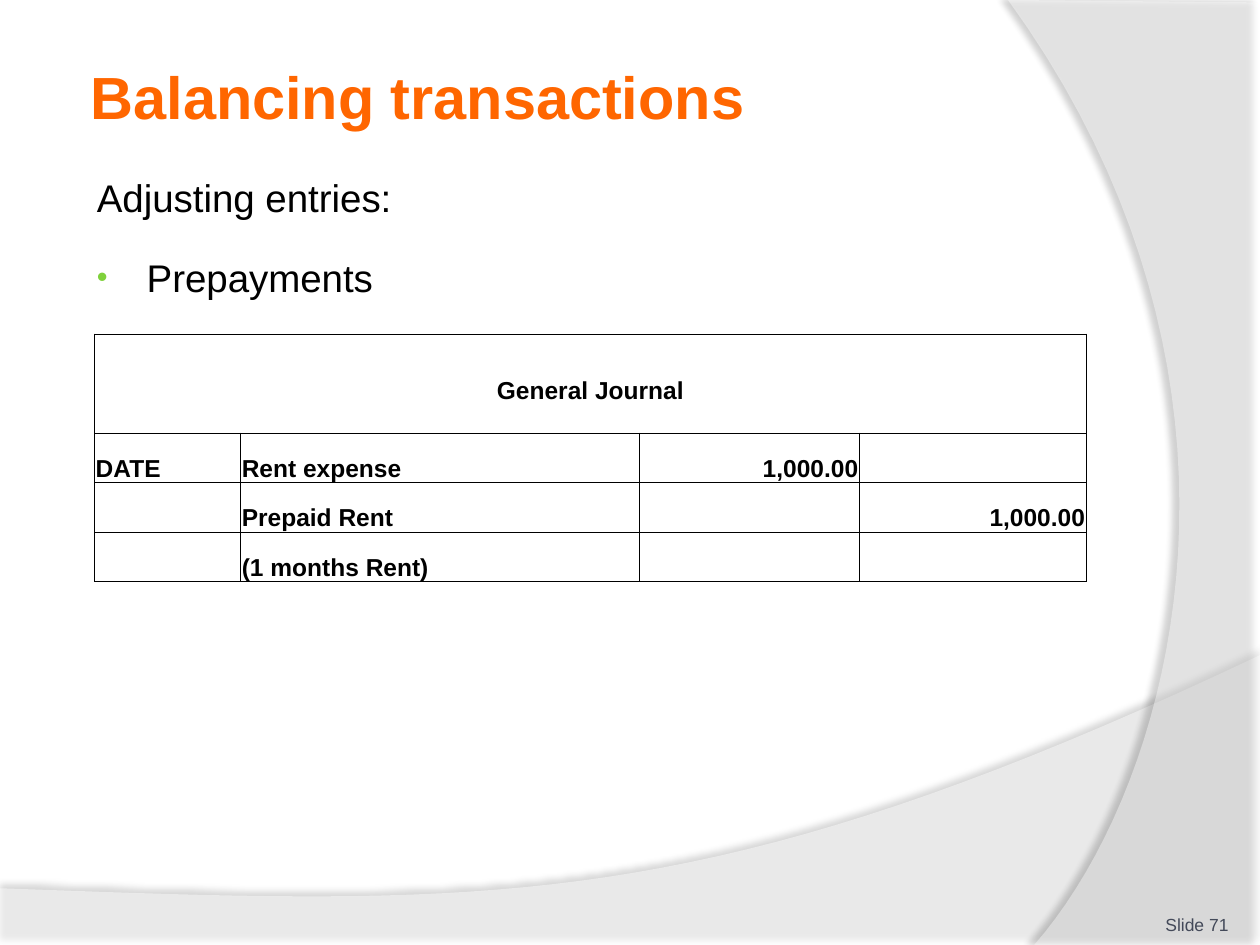
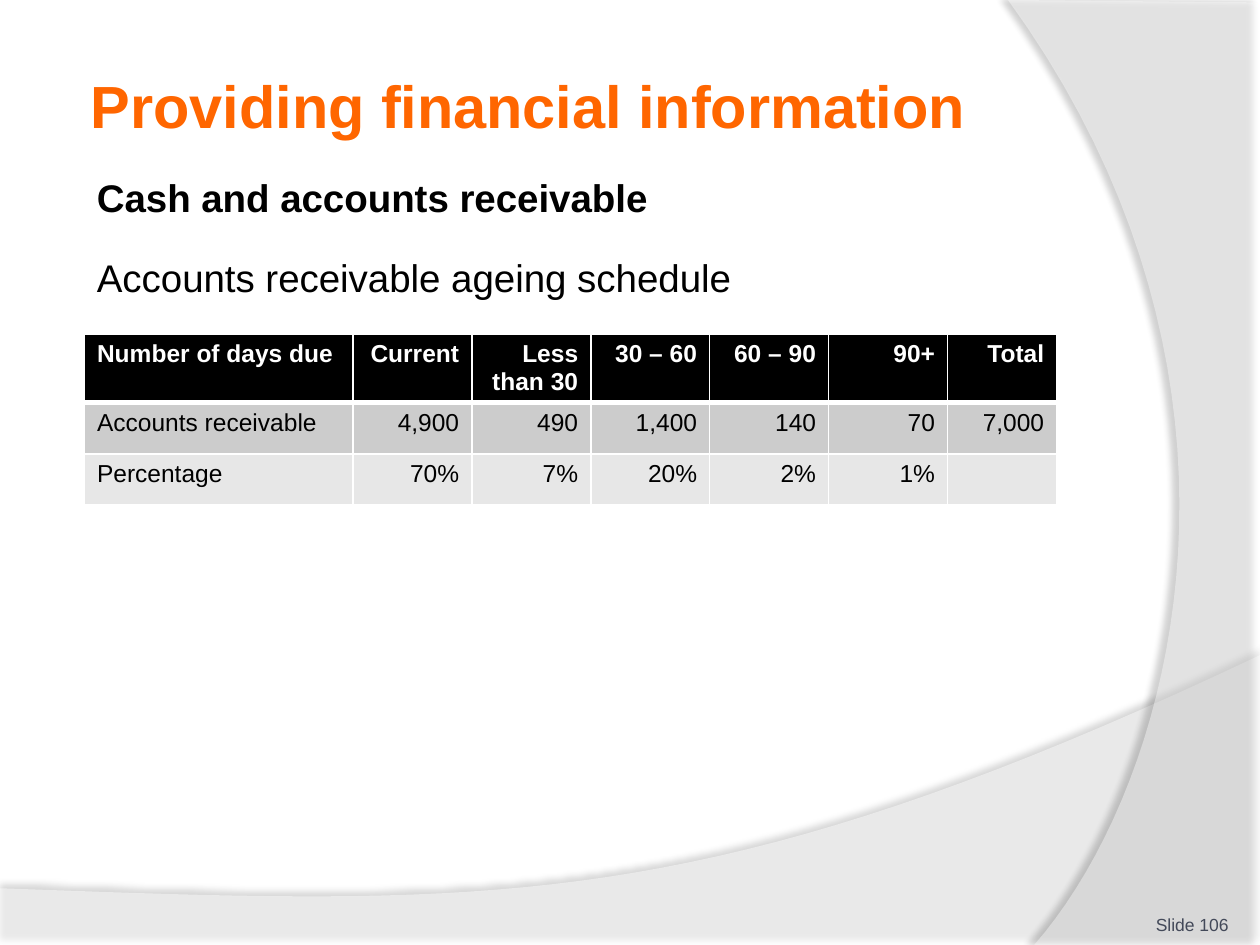
"""Build two accounting slides, each with a title, a short text and a table."""
from dataclasses import dataclass
from typing import Any

from lxml import etree
from pptx import Presentation
from pptx import util as u
from pptx.dml.color import RGBColor
from pptx.enum import text as t
from pptx.oxml.ns import qn

Point = tuple[float, float]

FONT = "Arial"
ORANGE, GREEN, SLATE = "FF6600", "7FD13B", "434959"
BLACK, WHITE, GREY, PALE = "000000", "FFFFFF", "CCCCCC", "E7E7E7"
LEFT, CENTER, RIGHT = t.PP_ALIGN.LEFT, t.PP_ALIGN.CENTER, t.PP_ALIGN.RIGHT
TOP, MIDDLE, BOTTOM = t.MSO_ANCHOR.TOP, t.MSO_ANCHOR.MIDDLE, t.MSO_ANCHOR.BOTTOM
MARGIN, TEXT_WIDTH = 48.25, 588
CURVE_STEPS = 40


@dataclass(frozen=True)
class Swoosh:
    corners: tuple[Point, ...]
    controls: tuple[Point, Point]
    end: Point
    opacity: int
    shadow_opacity: int
    shadow_distance: float
    shadow_angle: int


@dataclass(frozen=True)
class Line:
    words: str
    bold: bool = False
    bullet: bool = False


@dataclass(frozen=True)
class Grid:
    left: float
    widths: tuple[float, ...]
    heights: tuple[float, ...]
    rows: tuple[tuple[str, ...], ...]
    fills: tuple[str | None, ...]
    bold_rows: int
    right_from: int
    border: str
    border_width: float
    insets: tuple[float, float]
    anchor: Any
    merged_heading: bool = False
    heading_color: str = BLACK
    heading_rule: float = 0


@dataclass(frozen=True)
class Content:
    title: str
    title_height: float
    lines: tuple[Line, ...]
    grid: Grid
    number: int


SWOOSHES = (
    Swoosh(((0, 507.6), (0, 540), (720, 540), (720, 374.4)),
           ((402.5, 524.9), (281.5, 517.7)), (0, 507.6), 45, 35, 3.5, 270),
    Swoosh(((720, 1.4), (720, 540), (591, 540)),
           ((673.2, 445.7), (733, 216)), (576, 0), 40, 45, 4, 180),
)

JOURNAL = Grid(
    left=54, widths=(83.5, 228, 125.7, 129.6), heights=(56.6, 28.35, 28.35, 28.35),
    rows=(("General Journal", "", "", ""),
          ("DATE", "Rent expense", "1,000.00", ""),
          ("", "Prepaid Rent", "", "1,000.00"),
          ("", "(1 months Rent)", "", "")),
    fills=(None,) * 4, bold_rows=4, right_from=2, border=BLACK, border_width=0.5,
    insets=(0.7, 0), anchor=BOTTOM, merged_heading=True)

AGEING = Grid(
    left=MARGIN, widths=(153.4, *(68,) * 5, 62.4), heights=(39.4, 29.2, 29.2),
    rows=(("Number of days due", "Current", "Less than 30", "30 – 60", "60 – 90", "90+", "Total"),
          ("Accounts receivable", "4,900", "490", "1,400", "140", "70", "7,000"),
          ("Percentage", "70%", "7%", "20%", "2%", "1%", "")),
    fills=(BLACK, GREY, PALE), bold_rows=1, right_from=1, border=WHITE, border_width=1,
    insets=(7.2, 3.6), anchor=TOP, heading_color=WHITE, heading_rule=3)

CONTENTS = (
    Content("Balancing transactions", 57,
            (Line("Adjusting entries:"), Line("Prepayments", bullet=True)), JOURNAL, 71),
    Content("Providing financial information", 67.7,
            (Line("Cash and accounts receivable", bold=True),
             Line("Accounts receivable ageing schedule")), AGEING, 106),
)


def color(value: str) -> RGBColor:
    """Turn a hex string into a colour."""
    return RGBColor.from_string(value)


def assign(target: Any, values: dict[str, Any]) -> None:
    """Set several attributes of one object."""
    for name, value in values.items():
        setattr(target, name, value)


def add_xml(parent: Any, tag: str, **attributes: Any) -> Any:
    """Append a drawing element with its attributes."""
    return etree.SubElement(parent, qn(tag), {k: str(v) for k, v in attributes.items()})


def write(para: Any, words: str, size: float, hue: str, bold: bool = False,
          align: Any = LEFT) -> None:
    """Put one formatted span into a paragraph."""
    para.alignment = align
    span = para.add_run()
    span.text = words
    assign(span.font, {"name": FONT, "size": u.Pt(size), "bold": bold})
    span.font.color.rgb = color(hue)


def set_frame(frame: Any, anchor: Any, across: float, down: float) -> None:
    """Set the wrapping, anchor and insets of a text frame."""
    assign(frame, {"word_wrap": True, "auto_size": t.MSO_AUTO_SIZE.NONE,
                   "vertical_anchor": anchor,
                   "margin_left": u.Pt(across), "margin_right": u.Pt(across),
                   "margin_top": u.Pt(down), "margin_bottom": u.Pt(down)})


def add_box(page: Any, left: float, top: float, width: float, height: float) -> Any:
    """Add a text box measured in points."""
    return page.shapes.add_textbox(*map(u.Pt, (left, top, width, height)))


def curve(start: Point, controls: tuple[Point, Point], end: Point) -> list[Point]:
    """Sample a cubic curve after its start point."""
    points = []
    for step in range(1, CURVE_STEPS + 1):
        s = step / CURVE_STEPS
        weights = ((1 - s) ** 3, 3 * s * (1 - s) ** 2, 3 * s * s * (1 - s), s ** 3)
        x, y = (sum(w * p[axis] for w, p in zip(weights, (start, *controls, end)))
                for axis in (0, 1))
        points.append((x, y))
    return points


def draw_swoosh(page: Any, swoosh: Swoosh, depth: int) -> None:
    """Draw a translucent curved band with a soft shadow behind the text."""
    first, *others = swoosh.corners
    outline = others + curve(others[-1], swoosh.controls, swoosh.end)
    builder = page.shapes.build_freeform(u.Pt(first[0]), u.Pt(first[1]))
    builder.add_line_segments([(u.Pt(x), u.Pt(y)) for x, y in outline], close=True)
    shape = builder.convert_to_shape()
    shape.shadow.inherit = False
    shape.line.fill.background()
    shape.fill.solid()
    shape.fill.fore_color.rgb = color(WHITE)
    tint = shape.element.find(f".//{qn('a:solidFill')}/{qn('a:srgbClr')}")
    add_xml(tint, "a:alpha", val=swoosh.opacity * 1000)
    shadow = add_xml(shape.element.find(f".//{qn('a:effectLst')}"), "a:outerShdw",
                     blurRad=u.Pt(4), dist=u.Pt(swoosh.shadow_distance),
                     dir=swoosh.shadow_angle * 60000, algn="ctr", rotWithShape=0)
    shade = add_xml(shadow, "a:srgbClr", val=BLACK)
    add_xml(shade, "a:alpha", val=swoosh.shadow_opacity * 1000)
    shape.element.getparent().insert(2 + depth, shape.element)


def draw_title(page: Any, words: str, height: float) -> None:
    """Place and format the title placeholder."""
    title = page.shapes.title
    assign(title, {"left": u.Pt(MARGIN), "top": u.Pt(26),
                   "width": u.Pt(TEXT_WIDTH), "height": u.Pt(height)})
    set_frame(title.text_frame, MIDDLE, 3.6, 3.6)
    write(title.text_frame.paragraphs[0], words, 34, ORANGE, True)


def draw_lines(page: Any, lines: tuple[Line, ...]) -> None:
    """Write the introductory lines above the table."""
    frame = add_box(page, MARGIN, 96, TEXT_WIDTH, 90).text_frame
    set_frame(frame, TOP, 7.2, 3.6)
    for index, line in enumerate(lines):
        para = frame.add_paragraph() if index else frame.paragraphs[0]
        if line.bullet:
            props = para._p.get_or_add_pPr()
            assign_indent = {"marL": u.Pt(28.5), "indent": -u.Pt(28.5)}
            for name, value in assign_indent.items():
                props.set(name, str(value))
            add_xml(add_xml(props, "a:buClr"), "a:srgbClr", val=GREEN)
            add_xml(props, "a:buSzPct", val=80000)
            add_xml(props, "a:buFont", typeface=FONT)
            add_xml(props, "a:buChar", char="•")
        assign(para, {"space_before": u.Pt(6 if index else 0), "space_after": u.Pt(13)})
        write(para, line.words, 22, BLACK, line.bold)


def set_borders(cell: Any, hue: str, widths: dict[str, float]) -> None:
    """Give each side of a cell a solid border."""
    props = cell._tc.get_or_add_tcPr()
    for side, width in widths.items():
        border = add_xml(props, f"a:ln{side}", w=u.Pt(width))
        add_xml(add_xml(border, "a:solidFill"), "a:srgbClr", val=hue)


def draw_grid(page: Any, grid: Grid) -> None:
    """Draw a table with its own fills, borders and alignment."""
    table = page.shapes.add_table(
        len(grid.rows), len(grid.widths), u.Pt(grid.left), u.Pt(190.8),
        u.Pt(sum(grid.widths)), u.Pt(sum(grid.heights))).table
    assign(table, {"first_row": False, "horz_banding": False})
    for column, width in zip(table.columns, grid.widths):
        column.width = u.Pt(width)
    for row, height in zip(table.rows, grid.heights):
        row.height = u.Pt(height)
    across, down = map(u.Pt, grid.insets)
    for r, words in enumerate(grid.rows):
        for c, value in enumerate(words):
            cell = table.cell(r, c)
            assign(cell, {"margin_left": across, "margin_right": across, "margin_top": down,
                          "margin_bottom": down, "vertical_anchor": grid.anchor})
            sides = dict.fromkeys("LRTB", grid.border_width)
            if grid.heading_rule and r < 2:
                sides["T" if r else "B"] = grid.heading_rule
            set_borders(cell, grid.border, sides)
            if grid.fills[r]:
                cell.fill.solid()
                cell.fill.fore_color.rgb = color(grid.fills[r])
            else:
                cell.fill.background()
            if value:
                write(cell.text_frame.paragraphs[0], value, 14,
                      BLACK if r else grid.heading_color, r < grid.bold_rows,
                      RIGHT if c >= grid.right_from else LEFT)
    if grid.merged_heading:
        heading = table.cell(0, 0)
        heading.merge(table.cell(0, len(grid.widths) - 1))
        heading.margin_bottom = u.Pt(16)
        heading.text_frame.paragraphs[0].alignment = CENTER


def draw_number(page: Any, number: int) -> None:
    """Write the slide number in the lower right corner."""
    frame = add_box(page, 642.2, 505.4, 59.8, 28.8).text_frame
    set_frame(frame, BOTTOM, 0, 0)
    write(frame.paragraphs[0], f"Slide {number}", 10, SLATE, align=RIGHT)


def main() -> None:
    """Build the deck and save it."""
    deck = Presentation()
    assign(deck, {"slide_width": u.Pt(720), "slide_height": u.Pt(540)})
    for content in CONTENTS:
        page = deck.slides.add_slide(deck.slide_layouts.get_by_name("Title Only"))
        for depth, swoosh in enumerate(SWOOSHES):
            draw_swoosh(page, swoosh, depth)
        draw_title(page, content.title, content.title_height)
        draw_lines(page, content.lines)
        draw_grid(page, content.grid)
        draw_number(page, content.number)
    deck.save("out.pptx")


if __name__ == "__main__":
    main()
